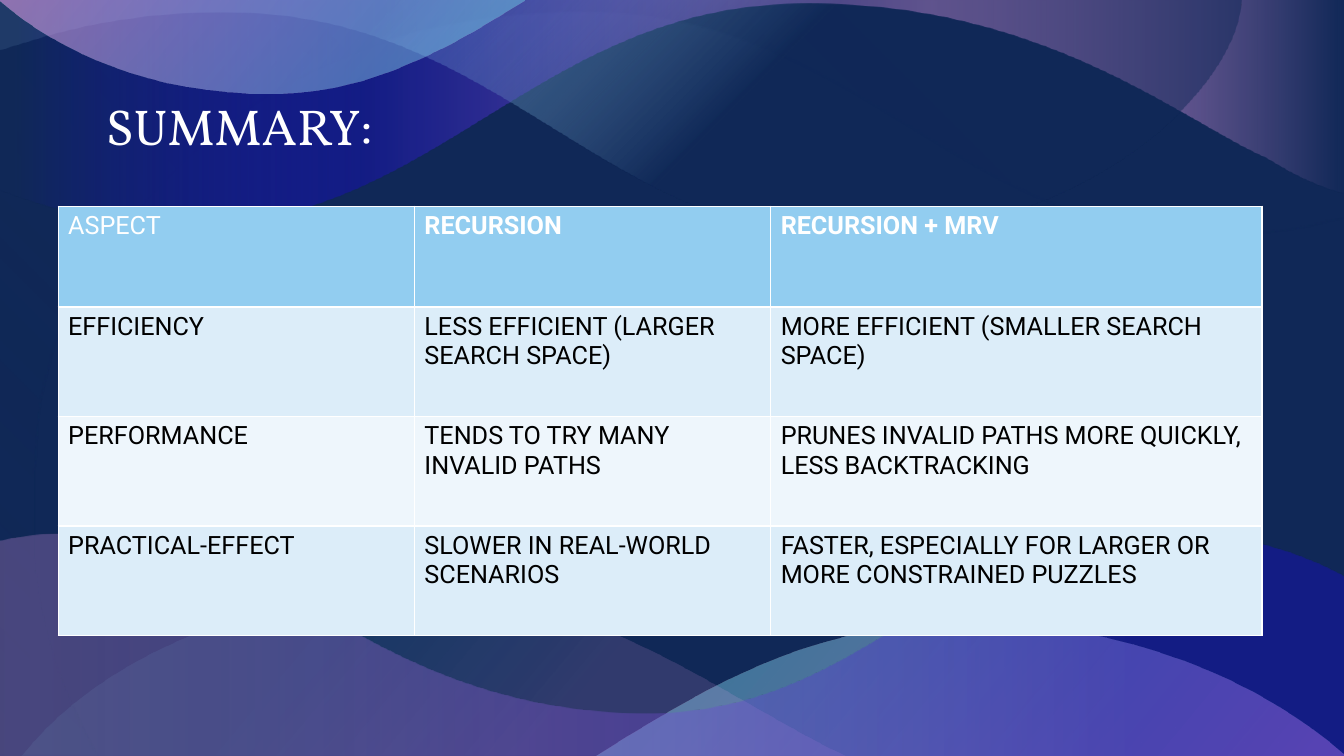
from dataclasses import dataclass

from lxml.etree import SubElement
from pptx import Presentation
from pptx.dml.color import RGBColor
from pptx.enum.text import MSO_ANCHOR, PP_ALIGN
from pptx.oxml import parse_xml
from pptx.oxml.ns import nsdecls, qn
from pptx.util import Pt


@dataclass(frozen=True)
class Theme:
    navy: str = "102857"
    blue: str = "180DC2"
    pink: str = "F6A6F4"
    cyan: str = "64DFED"
    sky: str = "92CDF0"
    band_dark: str = "DCEDF9"
    band_light: str = "EEF6FC"
    white: str = "FFFFFF"
    black: str = "000000"
    title_font: str = "Vollkorn"
    body_font: str = "Roboto"
    title_size: int = 36
    body_size: int = 18


THEME = Theme()

# Outlines in points: a pair is a corner, six numbers are a cubic curve.
RIGHT_HILL = [
    (685.4, 445), (806, 444, 901, 487, 960.5, 538.6), (962, 540), (424.8, 540),
    (450.7, 524), (520, 482, 591, 446, 685.4, 445)]
TOP_CREST = [
    (606, 168.5), (770, 169, 874, 71, 885.6, 9.4), (887, 0), (0, 0), (0, 36),
    (16.6, 31), (60, 17, 110, 8, 168.5, 9.4), (356, 12, 431, 168, 606, 168.5)]
LEFT_SWEEP = [
    (-1.4, 0), (246, 0), (256, 0), (960.5, 0), (960.5, 156), (947.5, 159),
    (922, 166, 893, 168.5, 862, 168.5), (687, 168, 611, 12, 424.8, 9.4),
    (381, 8.6, 342, 13, 306.7, 21.6), (302.4, 22.3), (291.6, 25.2),
    (237, 42, 184, 66, 133.2, 114.5), (100, 147, 74, 180, 54, 212.4),
    (45, 231, 41, 238, 36.7, 258), (32, 276, 28, 287, 26.6, 314), (25.2, 338.4),
    (25.2, 394.6), (25.2, 395, 25.2, 397, 25.2, 397.4),
    (29, 446, 43, 487, 62, 525), (70, 540), (25.2, 540), (-1.4, 540),
    (-1.4, 220.3), (-2.2, 220.3), (-2.2, 159), (-1.4, 159), (-1.4, 129.6)]
LEFT_HILL = [
    (301, 423.4), (421, 424, 499, 486, 590.4, 533.5), (604, 540), (15.8, 540),
    (24.5, 530), (71, 477, 168, 423.4, 301, 423.4)]
BOTTOM_WAVE = [
    (823, 379.4), (876, 379.4, 922, 392, 957, 410.4), (960.5, 412.6), (960.5, 540.5),
    (-2.2, 540.5), (-2.2, 387.4), (3.6, 386), (17, 383, 32, 381.6, 47.5, 381.6),
    (101, 381, 146, 394, 181.4, 411.8), (190.8, 417.6), (194.4, 419),
    (243, 441, 326, 511, 468, 509), (619, 506, 680, 380, 823, 379.4)]
TOP_WAVE = [
    (0, 0), (960, 0), (960, 138.2), (953.3, 136), (940, 132, 929, 127, 918, 121),
    (907, 114.5), (903, 112.3), (843, 86, 742, 0, 568.8, 2.9),
    (384, 6, 310, 159, 136.8, 160.6), (88, 160.6, 45, 152, 8, 138.2), (0, 135.4)]
CORNER_WAVE = [
    (193, 67), (108, 67, 42, 37, 0.7, 1.4), (0, 0.7), (374.4, 0.7), (356.4, 11.5),
    (308, 41, 258, 66, 193, 67)]

# Gradient stops: position, colour, opacity (all but the colour in percent).
CYAN_TO_PINK = [(0, THEME.cyan, 43), (100, THEME.pink, 53)]
CREST_STOPS = [(43, THEME.navy, 50), (73, THEME.sky, 11)]
SWEEP_STOPS = [(0, THEME.navy, 60), (77, THEME.navy, 29)]
HILL_STOPS = [(33, THEME.pink, 14), (66, THEME.cyan, 8)]
BOTTOM_STOPS = [(0, THEME.pink, 24), (85, THEME.blue, 42)]
TOP_STOPS = [(0, THEME.navy, 100), (31, THEME.pink, 69), (73, THEME.blue, 42),
             (99, THEME.navy, 100)]

# Direction: an angle in degrees, or the two sides where a round gradient centres.
TOP_CREST_WAVE = (TOP_CREST, CREST_STOPS, "lt")
WAVES = [
    (RIGHT_HILL, CYAN_TO_PINK, 40),
    TOP_CREST_WAVE,
    (LEFT_SWEEP, SWEEP_STOPS, "tr"),
    (LEFT_HILL, HILL_STOPS, 220),
    (BOTTOM_WAVE, BOTTOM_STOPS, 0),
    (TOP_WAVE, TOP_STOPS, 180),
    TOP_CREST_WAVE,
    (CORNER_WAVE, CYAN_TO_PINK, 220),
]

COMPARISON = [
    ["ASPECT", "RECURSION", "RECURSION + MRV"],
    ["EFFICIENCY", "LESS EFFICIENT (LARGER SEARCH SPACE)",
     "MORE EFFICIENT (SMALLER SEARCH SPACE)"],
    ["PERFORMANCE", "TENDS TO TRY MANY INVALID PATHS",
     "PRUNES INVALID PATHS MORE QUICKLY, LESS BACKTRACKING"],
    ["PRACTICAL-EFFECT", "SLOWER IN REAL-WORLD SCENARIOS",
     "FASTER, ESPECIALLY FOR LARGER OR MORE CONSTRAINED PUZZLES"],
]


def apply(target, values):
    for name, value in values.items():
        setattr(target, name, value)


def bend(shape, outline):
    """Join the three line segments of each curve into one cubic segment."""
    lines = iter(list(shape._element.iter(qn("a:lnTo"))))
    for segment in outline[1:]:
        line = next(lines)
        if len(segment) == 6:
            curve = parse_xml(f'<a:cubicBezTo {nsdecls("a")}/>')
            line.addprevious(curve)
            for part in (line, next(lines), next(lines)):
                curve.append(part[0])
                part.getparent().remove(part)


class SlideBuilder:
    def __init__(self, slide, theme):
        self.slide = slide
        self.theme = theme

    def background(self, color):
        fill = self.slide.background.fill
        fill.solid()
        fill.fore_color.rgb = RGBColor.from_string(color)

    def style_font(self, font, name, size, color, bold=False):
        apply(font, {"name": name, "size": Pt(size), "bold": bold})
        font.color.rgb = RGBColor.from_string(color)

    def wave(self, outline, stops, direction):
        """Draw a curved backdrop shape and place it on the slide's layout."""
        points = [(Pt(x), Pt(y)) for segment in outline
                  for x, y in zip(segment[::2], segment[1::2])]
        builder = self.slide.shapes.build_freeform(*points[0])
        builder.add_line_segments(points[1:], close=True)
        shape = builder.convert_to_shape()
        bend(shape, outline)
        shape.shadow.inherit = False
        shape.line.fill.background()
        shape.fill.background()
        properties = shape._element.spPr
        properties.replace(properties.find(qn("a:noFill")),
                           self.gradient(stops, direction))
        self.slide.slide_layout.shapes._spTree.append(shape._element)

    def gradient(self, stops, direction):
        gradient = parse_xml(f'<a:gradFill {nsdecls("a")} rotWithShape="1"/>')
        stop_list = SubElement(gradient, qn("a:gsLst"))
        for position, color, opacity in stops:
            stop = SubElement(stop_list, qn("a:gs"), pos=str(position * 1000))
            fill = SubElement(stop, qn("a:srgbClr"), val=color)
            SubElement(fill, qn("a:alpha"), val=str(opacity * 1000))
        if isinstance(direction, str):
            circle = SubElement(gradient, qn("a:path"), path="circle")
            SubElement(circle, qn("a:fillToRect"), {side: "100000" for side in direction})
        else:
            SubElement(gradient, qn("a:lin"), ang=str(direction * 60000), scaled="0")
        return gradient

    def title(self, text, left, top, width, height):
        title = self.slide.shapes.title
        apply(title, {"left": Pt(left), "top": Pt(top),
                      "width": Pt(width), "height": Pt(height)})
        apply(title.text_frame, {"text": text, "word_wrap": True,
                                 "vertical_anchor": MSO_ANCHOR.MIDDLE})
        paragraph = title.text_frame.paragraphs[0]
        paragraph.alignment = PP_ALIGN.LEFT
        self.style_font(paragraph.runs[0].font, self.theme.title_font,
                        self.theme.title_size, self.theme.white)

    def table(self, rows, left, top, widths, heights):
        table = self.slide.shapes.add_table(
            len(rows), len(widths), Pt(left), Pt(top),
            Pt(sum(widths)), Pt(sum(heights))).table
        for column, width in zip(table.columns, widths):
            column.width = Pt(width)
        for row, height in zip(table.rows, heights):
            row.height = Pt(height)
        bands = (self.theme.band_light, self.theme.band_dark)
        for i, texts in enumerate(rows):
            for j, text in enumerate(texts):
                header = i == 0
                cell = table.cell(i, j)
                cell.text = text
                self.style_font(cell.text_frame.paragraphs[0].runs[0].font,
                                self.theme.body_font, self.theme.body_size,
                                self.theme.white if header else self.theme.black,
                                bold=header and j > 0)
                cell.fill.solid()
                cell.fill.fore_color.rgb = RGBColor.from_string(
                    self.theme.sky if header else bands[i % 2])


def main():
    presentation = Presentation()
    apply(presentation, {"slide_width": Pt(960), "slide_height": Pt(540)})
    slide = presentation.slides.add_slide(presentation.slide_layouts.get_by_name("Title Only"))
    builder = SlideBuilder(slide, THEME)
    builder.background(THEME.navy)
    for wave in WAVES:
        builder.wave(*wave)
    builder.table(COMPARISON, 41.5, 147.25, [254.5, 254.5, 351], [72] + [78.25] * 3)
    builder.title("SUMMARY:", 68.4, 64, 533.5, 51)
    presentation.save("out.pptx")


if __name__ == "__main__":
    main()
